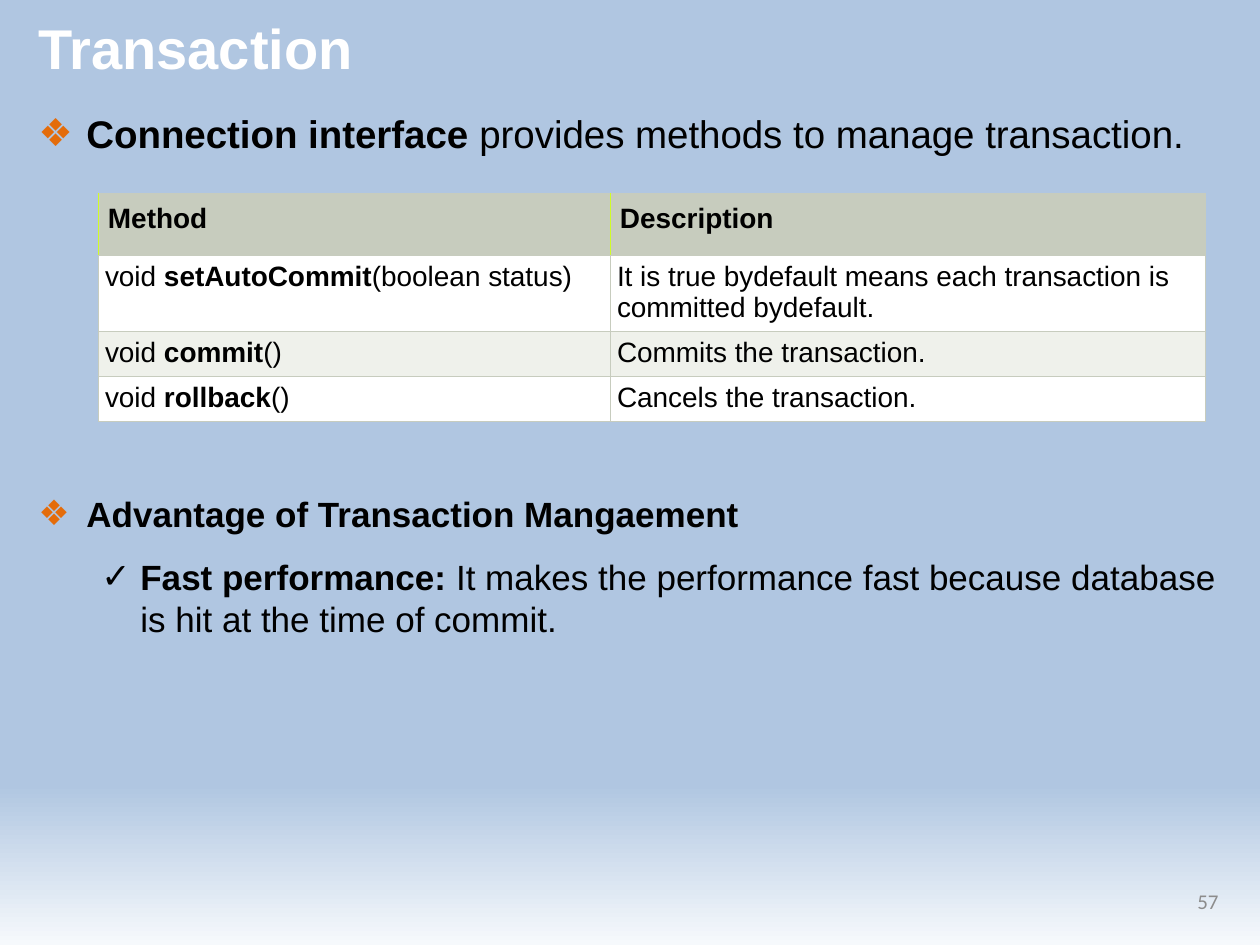
from dataclasses import dataclass

from lxml.etree import SubElement
from pptx import Presentation
from pptx.dml.color import RGBColor
from pptx.enum.text import MSO_ANCHOR, PP_ALIGN
from pptx.oxml import parse_xml
from pptx.oxml.ns import nsdecls, qn
from pptx.util import Emu, Pt


@dataclass(frozen=True)
class Theme:
    """Colours, fonts and type sizes of the slide."""
    sky: str = "B0C6E1"
    mist: str = "F6F9FC"
    white: str = "FFFFFF"
    black: str = "000000"
    gray: str = "8C8C8C"
    orange: str = "E46C0A"
    sage: str = "C7CCBE"
    pale_sage: str = "EFF1EB"
    lime: str = "D0FC28"
    font: str = "Arial"
    number_font: str = "Calibri"
    title_size: int = 32
    lead_size: int = 22
    body_size: int = 20
    table_size: int = 16
    number_size: int = 12


THEME = Theme()
PX_PER_INCH = 126
METHODS = [
    ([("Method", True)], [("Description", True)]),
    ([("void ", False), ("setAutoCommit", True), ("(boolean status)", False)],
     [("It is true bydefault means each transaction is committed bydefault.", False)]),
    ([("void ", False), ("commit", True), ("()", False)],
     [("Commits the transaction.", False)]),
    ([("void ", False), ("rollback", True), ("()", False)],
     [("Cancels the transaction.", False)]),
]


def px(length):
    """Turn px into EMU."""
    return Emu(round(length * 914400 / PX_PER_INCH))


def write(paragraph, runs, size, color=THEME.black, font=THEME.font):
    """Fill a paragraph with (text, bold) runs in one style."""
    paragraph.font.size = Pt(size)
    paragraph.font.name = font
    paragraph.font.color.rgb = RGBColor.from_string(color)
    for text, bold in runs:
        run = paragraph.add_run()
        run.text = text
        run.font.bold = bold


def add_text_frame(slide, box, anchor=MSO_ANCHOR.TOP):
    """Add a wrapping text box and return its text frame."""
    frame = slide.shapes.add_textbox(*map(px, box)).text_frame
    frame.word_wrap = True
    frame.vertical_anchor = anchor
    return frame


def set_bullet(paragraph, character, margin, hanging, color):
    """Give a paragraph a bullet and a hanging indent."""
    paragraph.space_before = Pt(12)
    properties = paragraph._p.get_or_add_pPr()
    properties.set("marL", str(px(margin)))
    properties.set("indent", str(-px(hanging)))
    bullet_color = SubElement(properties, qn("a:buClr"))
    SubElement(bullet_color, qn("a:srgbClr"), val=color)
    SubElement(properties, qn("a:buFont"), typeface=THEME.font)
    SubElement(properties, qn("a:buChar"), char=character)
    default_run = properties.find(qn("a:defRPr"))
    if default_run is not None:
        properties.append(default_run)


def paint_background(slide):
    """Fade the slide from sky to mist at its foot."""
    fill = slide.background.fill
    fill.gradient()
    fill.gradient_angle = 270
    for stop, position, color in zip(fill.gradient_stops, (0.83, 1), (THEME.sky, THEME.mist)):
        stop.position = position
        stop.color.rgb = RGBColor.from_string(color)


def add_title(slide, box):
    """Place the slide title."""
    frame = add_text_frame(slide, box, MSO_ANCHOR.MIDDLE)
    write(frame.paragraphs[0], [("Transaction", True)], THEME.title_size, THEME.white)


def add_lead(slide, box):
    """Place the statement above the table."""
    paragraph = add_text_frame(slide, box).paragraphs[0]
    write(paragraph, [("Connection interface", True),
                      (" provides methods to manage transaction.", False)], THEME.lead_size)
    set_bullet(paragraph, "❖", 48, 48, THEME.orange)


def add_advantage(slide, box):
    """Place the advantage heading and its detail."""
    frame = add_text_frame(slide, box)
    heading, detail = frame.paragraphs[0], frame.add_paragraph()
    write(heading, [("Advantage of Transaction Mangaement", True)], THEME.body_size)
    set_bullet(heading, "❖", 48, 48, THEME.orange)
    detail.level = 1
    write(detail, [("Fast performance:", True),
                   (" It makes the performance fast because database is hit"
                    " at the time of commit.", False)], THEME.body_size)
    set_bullet(detail, "✓", 102, 39, THEME.black)


def set_borders(cell, left_color):
    """Draw thin cell borders, with a separate colour on the left."""
    properties = cell._tc.get_or_add_tcPr()
    for index, side in enumerate("LRTB"):
        color = left_color if side == "L" else THEME.sage
        properties.insert(index, parse_xml(
            f'<a:ln{side} {nsdecls("a")} w="6350"><a:solidFill>'
            f'<a:srgbClr val="{color}"/></a:solidFill></a:ln{side}>'))


def add_method_table(slide, box):
    """Place the table of transaction methods."""
    table = slide.shapes.add_table(len(METHODS), 2, *map(px, box)).table
    table.first_row = table.horz_banding = False
    for column, width in zip(table.columns, (512, box[2] - 512)):
        column.width = px(width)
    for row, height in zip(table.rows, (62, 76, 45, 45)):
        row.height = px(height)
    for row_index, contents in enumerate(METHODS):
        header = row_index == 0
        band = THEME.pale_sage if row_index == 2 else THEME.white
        for cell, runs in zip(table.rows[row_index].cells, contents):
            cell.fill.solid()
            cell.fill.fore_color.rgb = RGBColor.from_string(THEME.sage if header else band)
            cell.margin_left = cell.margin_right = px(10 if header else 7)
            cell.margin_top = px(10 if header else 6)
            cell.margin_bottom = px(3)
            write(cell.text_frame.paragraphs[0], runs, THEME.table_size)
            set_borders(cell, THEME.lime if header else THEME.sage)


def add_slide_number(slide, box):
    """Place the slide number."""
    paragraph = add_text_frame(slide, box, MSO_ANCHOR.MIDDLE).paragraphs[0]
    paragraph.alignment = PP_ALIGN.RIGHT
    write(paragraph, [("57", False)], THEME.number_size, THEME.gray, THEME.number_font)


def main():
    """Build and save the slide."""
    presentation = Presentation()
    presentation.slide_width, presentation.slide_height = px(1260), px(945)
    slide = presentation.slides.add_slide(presentation.slide_layouts[6])
    paint_background(slide)
    add_title(slide, (26, 5, 1205, 84))
    add_lead(slide, (26, 104, 1205, 60))
    add_method_table(slide, (98, 193, 1107, 228))
    add_advantage(slide, (26, 486, 1205, 170))
    add_slide_number(slide, (903, 876, 328, 50))
    presentation.save("out.pptx")


if __name__ == "__main__":
    main()
